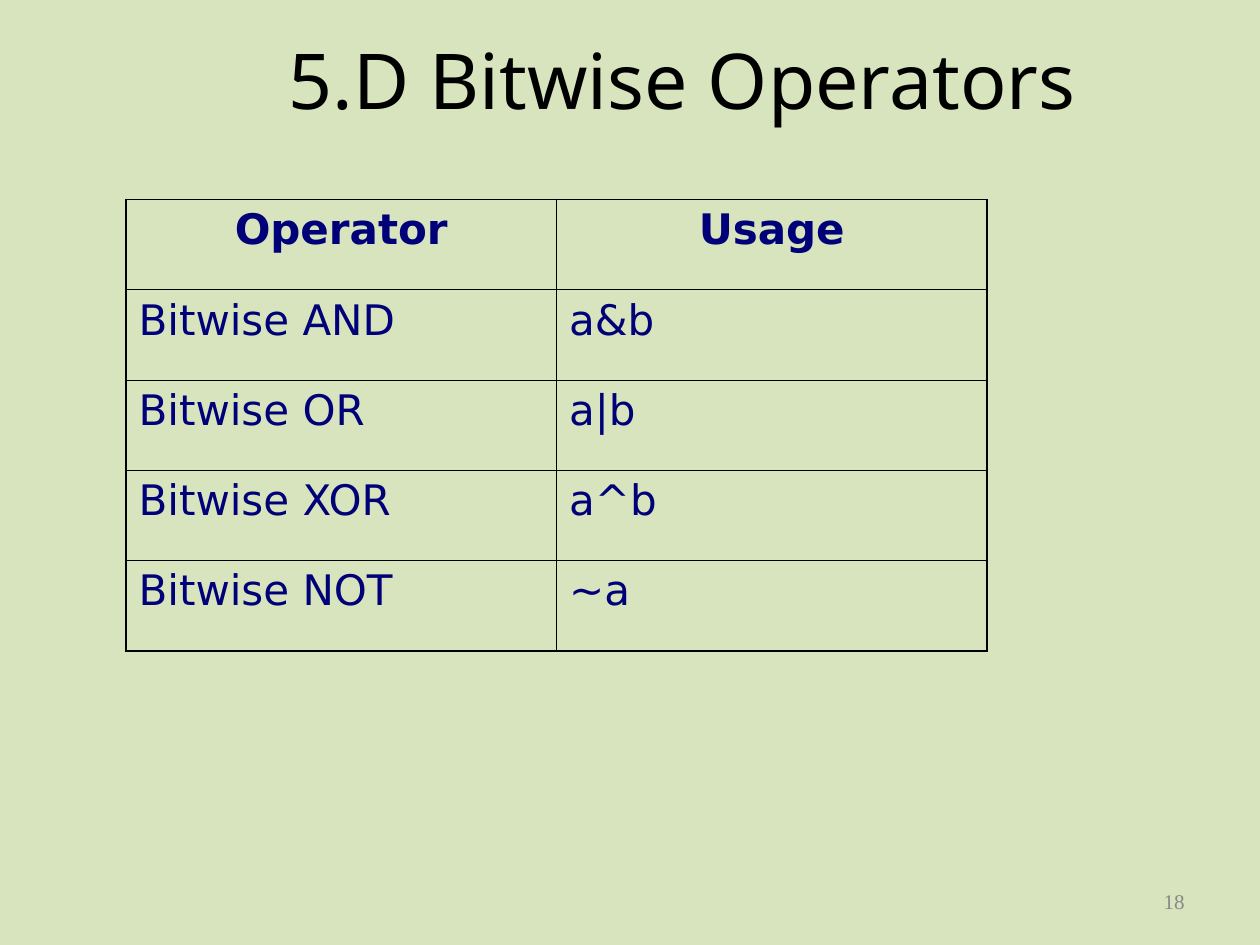
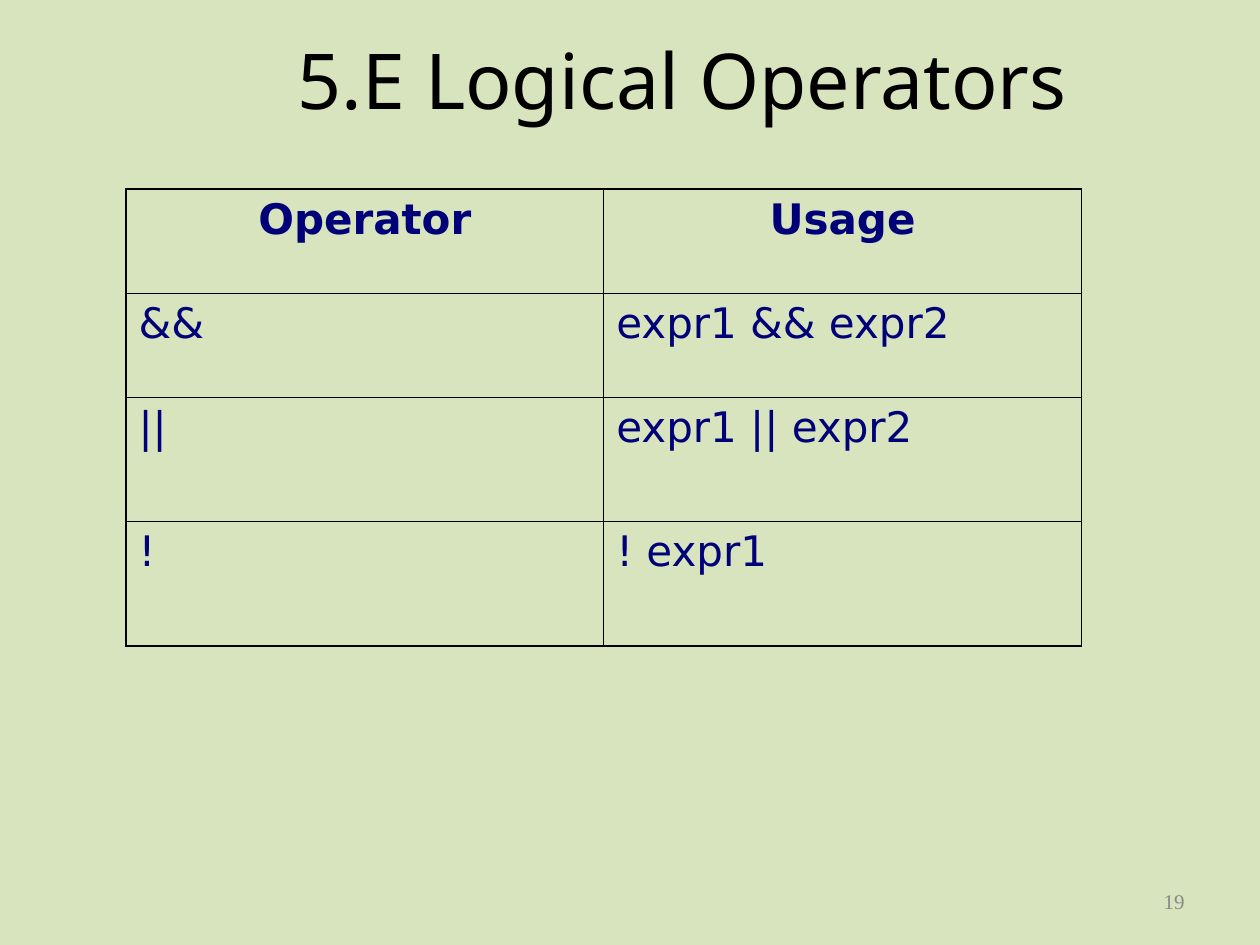
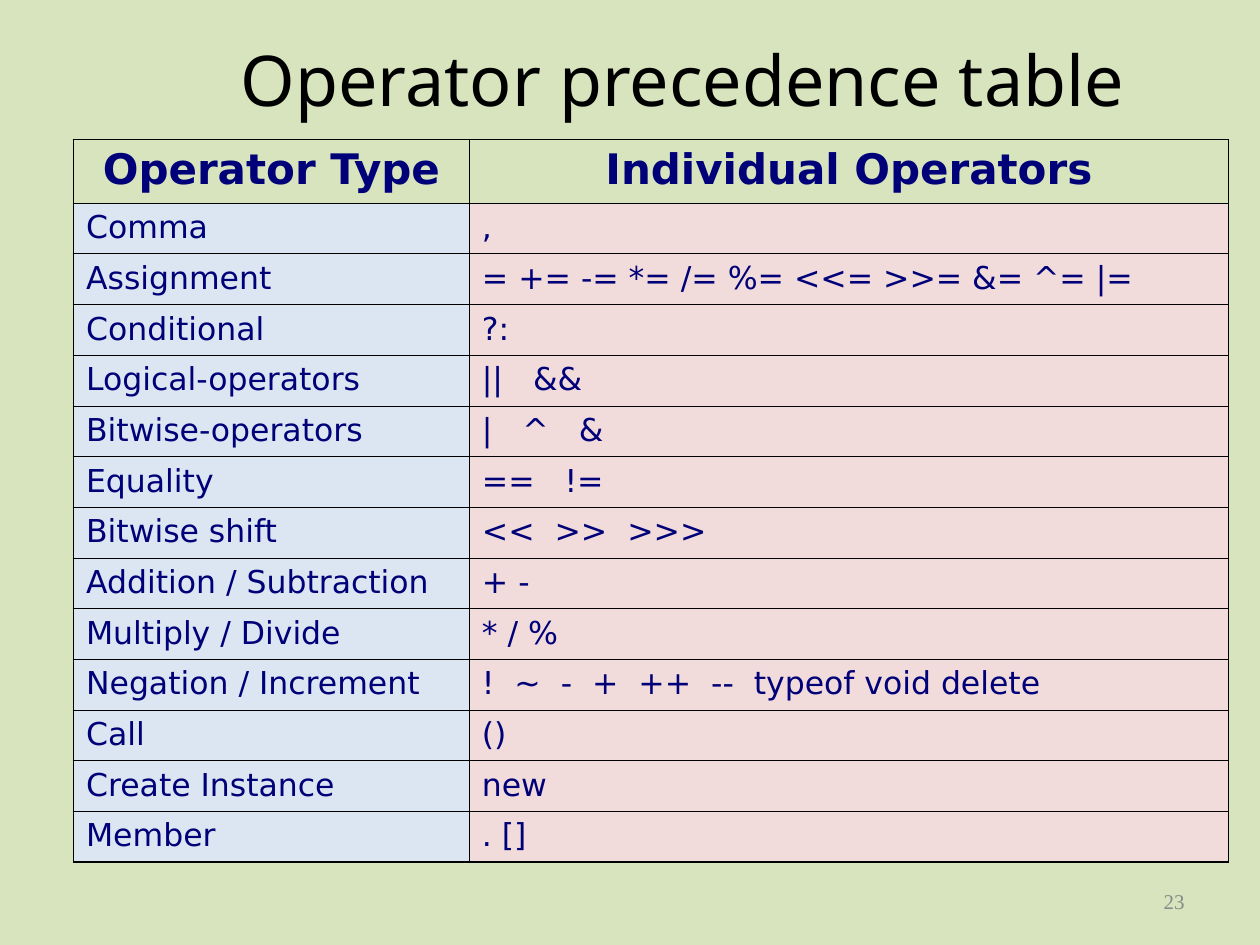
from lxml import etree
from pptx import Presentation
from pptx.dml.color import RGBColor
from pptx.enum.text import MSO_ANCHOR, PP_ALIGN
from pptx.oxml.ns import qn
from pptx.util import Inches, Pt

CENTER, LEFT, RIGHT = PP_ALIGN.CENTER, PP_ALIGN.LEFT, PP_ALIGN.RIGHT
MIDDLE = MSO_ANCHOR.MIDDLE
GREEN, BLACK, NAVY, GRAY = "D7E4BD", "000000", "000078", "898989"
BLUE, PINK = "DCE6F2", "F2DCDB"
THICK, THIN = Pt(1.08), Pt(0.45)


def style(p, name, size, color, align, bold=False):
    p.font.name = name
    p.font.size = Pt(size)
    p.font.bold = bold
    p.font.color.rgb = RGBColor.from_string(color)
    p.alignment = align


def add_border(cell, side, width):
    ln = etree.SubElement(cell._tc.get_or_add_tcPr(), qn(f"a:ln{side}"), w=str(width))
    fill = etree.SubElement(ln, qn("a:solidFill"))
    etree.SubElement(fill, qn("a:srgbClr"), val=BLACK)


prs = Presentation()
prs.slide_width, prs.slide_height = Inches(10), Inches(7.5)
UNIT = prs.slide_width / 120
bg = prs.slide_master.background.fill
bg.solid()
bg.fore_color.rgb = RGBColor.from_string(GREEN)

SLIDES = [
    dict(title="5.D Bitwise Operators", title_size=44, number=18,
         left=12, top=19, columns=[41, 41], heights=[8.6] * 5,
         size=24, before=6, fills=[None, None],
         rows=[("Operator", "Usage"),
               ("Bitwise AND", "a&b"),
               ("Bitwise OR", "a|b"),
               ("Bitwise XOR", "a^b"),
               ("Bitwise NOT", "~a")]),
    dict(title="5.E Logical Operators", title_size=44, number=19,
         left=12, top=18, columns=[45.5, 45.5], heights=[9.9, 9.9, 11.85, 11.85],
         size=24, before=6, fills=[None, None],
         rows=[("Operator", "Usage"),
               ("&&", "expr1 && expr2"),
               ("||", "expr1 || expr2"),
               ("!", "! expr1")]),
    dict(title="Operator precedence table", title_size=40, number=23,
         left=7, top=13.3, columns=[37.7, 72.3], heights=[6.05] + [4.83] * 13,
         size=18, before=4.5, fills=[BLUE, PINK],
         rows=[("Operator Type", "Individual Operators"),
               ("Comma", ","),
               ("Assignment", "= += -= *= /= %= <<= >>= &= ^= |="),
               ("Conditional", "?:"),
               ("Logical-operators", "||   &&"),
               ("Bitwise-operators", "|   ^   &"),
               ("Equality", "==   !="),
               ("Bitwise shift", "<<  >>  >>>"),
               ("Addition / Subtraction", "+ -"),
               ("Multiply / Divide", "* / %"),
               ("Negation / Increment", "!  ~  -  +  ++  --  typeof void delete"),
               ("Call", "()"),
               ("Create Instance", "new"),
               ("Member", ". []")]),
]

for data in SLIDES:
    s = prs.slides.add_slide(prs.slide_layouts[5])
    title = s.shapes.title
    title.left, title.top, title.width, title.height = (
        int(n * UNIT) for n in (17, 0, 96, 15))
    title.text_frame.text = data["title"]
    title.text_frame.vertical_anchor = MIDDLE
    style(title.text_frame.paragraphs[0], "Noto Sans", data["title_size"], BLACK, CENTER)

    rows, columns, heights = data["rows"], data["columns"], data["heights"]
    box = (data["left"], data["top"], sum(columns), sum(heights))
    table = s.shapes.add_table(len(rows), len(columns), *(int(n * UNIT) for n in box)).table
    table.first_row = table.horz_banding = False
    for column, width in zip(table.columns, columns):
        column.width = int(width * UNIT)
    for row, height in zip(table.rows, heights):
        row.height = int(height * UNIT)

    for r, texts in enumerate(rows):
        for c, text in enumerate(texts):
            cell = table.cell(r, c)
            cell.text = text
            p = cell.text_frame.paragraphs[0]
            if r == 0:
                style(p, "DejaVu Sans", 24, NAVY, CENTER, bold=True)
                p.space_before = Pt(6)
            else:
                style(p, "DejaVu Sans", data["size"], NAVY, LEFT)
                p.space_before = Pt(data["before"])
            outer = {"L": c == 0, "R": c == len(columns) - 1,
                     "T": r == 0, "B": r == len(rows) - 1}
            for side, is_outer in outer.items():
                add_border(cell, side, THICK if is_outer else THIN)
            fill = data["fills"][c]
            if r and fill:
                cell.fill.solid()
                cell.fill.fore_color.rgb = RGBColor.from_string(fill)
            else:
                cell.fill.background()

    number = s.shapes.add_textbox(*(int(n * UNIT) for n in (86, 83.4, 28, 4.8)))
    tf = number.text_frame
    tf.word_wrap = True
    tf.vertical_anchor = MIDDLE
    tf.text = str(data["number"])
    style(tf.paragraphs[0], "Times New Roman", 12, GRAY, RIGHT)

prs.save("out.pptx")
